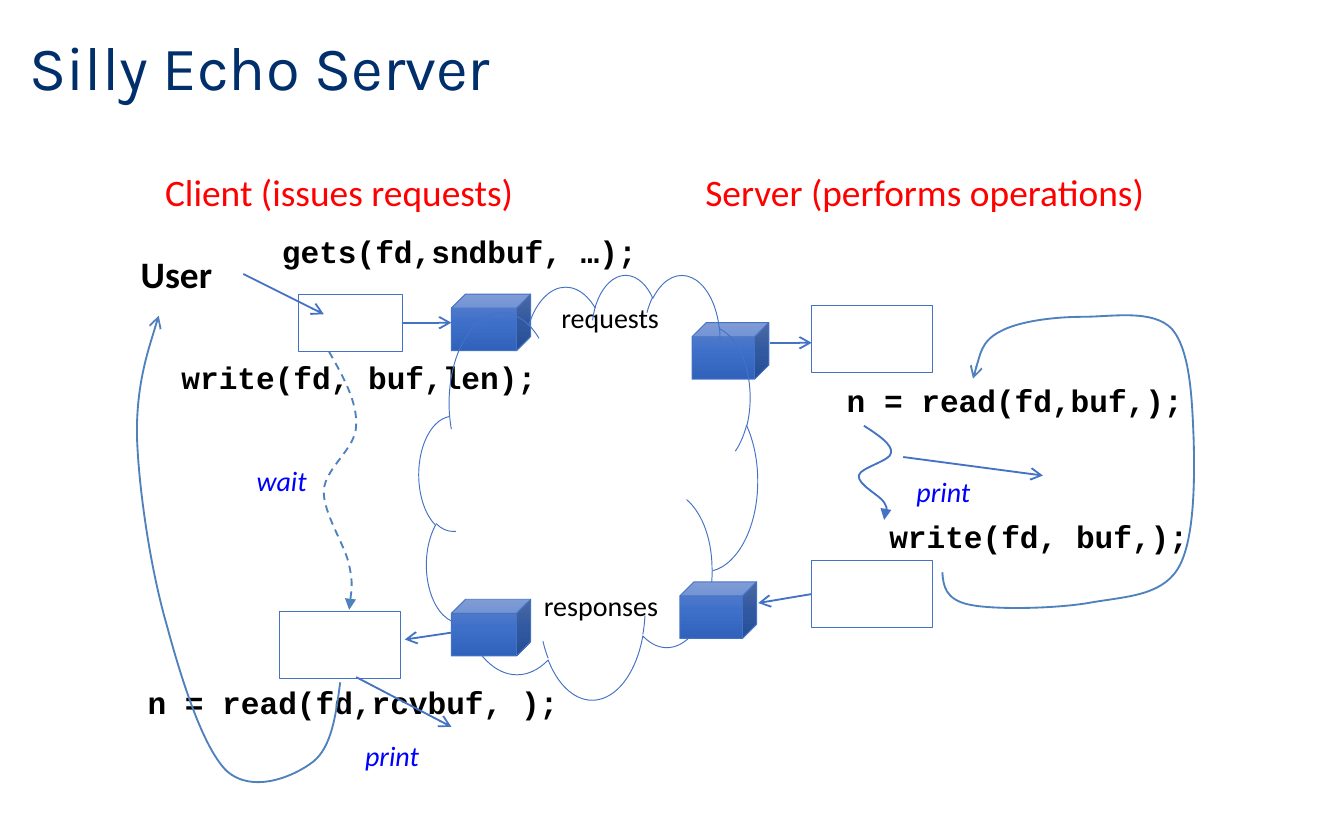
from lxml import etree
from pptx import Presentation
from pptx.dml.color import RGBColor
from pptx.enum.dml import MSO_LINE
from pptx.enum.shapes import MSO_CONNECTOR, MSO_SHAPE
from pptx.enum.text import MSO_ANCHOR, MSO_AUTO_SIZE, PP_ALIGN
from pptx.oxml.ns import qn
from pptx.util import Cm, Pt

RECT, CUBE, CLOUD = MSO_SHAPE.RECTANGLE, MSO_SHAPE.CUBE, MSO_SHAPE.CLOUD
STRAIGHT, DASH = MSO_CONNECTOR.STRAIGHT, MSO_LINE.DASH
LEFT, RIGHT = PP_ALIGN.LEFT, PP_ALIGN.RIGHT
MIDDLE = MSO_ANCHOR.MIDDLE
NO_FIT, GROW = MSO_AUTO_SIZE.NONE, MSO_AUTO_SIZE.SHAPE_TO_FIT_TEXT

NAVY = RGBColor(0x00, 0x2F, 0x6C)
BLACK = RGBColor(0x00, 0x00, 0x00)
RED = RGBColor(0xFF, 0x00, 0x00)
BLUE = RGBColor(0x00, 0x00, 0xFF)
LINE_BLUE = RGBColor(0x44, 0x72, 0xC4)
CURVE_BLUE = RGBColor(0x4F, 0x81, 0xBD)
CUBE_STOPS = [
    (0, RGBColor(0x61, 0x83, 0xCB)),
    (0.5, RGBColor(0x3E, 0x70, 0xCA)),
    (1, RGBColor(0x30, 0x62, 0xBB)),
]

CODE = dict(name="Courier New", size=Pt(16.7), bold=True)
HEADING = dict(name="Calibri", size=Pt(20))
USER = dict(name="Calibri", size=Pt(20), bold=True)
LABEL = dict(name="Calibri", size=Pt(15))
NOTE = dict(name="Calibri", size=Pt(15), italic=True)


def style_line(s, colour, width, arrow=None, dash=None):
    """Set the line, its arrowhead and an empty effect list."""
    s.line.color.rgb = colour
    s.line.width = Pt(width)
    if dash:
        s.line.dash_style = dash
    sp_pr = s._element.spPr
    if arrow:
        etree.SubElement(sp_pr.find(qn("a:ln")), qn("a:tailEnd"), type=arrow)
    etree.SubElement(sp_pr, qn("a:effectLst"))


def add_outline(kind, x, y, w, h):
    """Add an unfilled preset shape, measured in centimetres."""
    sp = shapes.add_shape(kind, Cm(x), Cm(y), Cm(w), Cm(h))
    sp.fill.background()
    style_line(sp, LINE_BLUE, 0.5)
    return sp


prs = Presentation()
prs.slide_width, prs.slide_height = Cm(25.4), Cm(15.88)
s = prs.slides.add_slide(prs.slide_layouts[5])
shapes = s.shapes

# Title
title = shapes.title
title.left, title.top, title.width, title.height = Cm(0.3), Cm(0.25), Cm(21.64), Cm(2.18)
tf = title.text_frame
tf.text = "Silly Echo Server"
tf.vertical_anchor, tf.auto_size = MIDDLE, NO_FIT
p = tf.paragraphs[0]
p.alignment, p.line_spacing = LEFT, 0.9
p.font.name, p.font.size, p.font.color.rgb = "Karla", Pt(33), NAVY

# Headings, calls and labels: text, left, top, width, height, font, colour, alignment
texts = [
    ("Client (issues requests)", 2.87, 3.07, 7.16, 1.12, HEADING, RED, LEFT),
    ("Server (performs operations)", 13.08, 3.07, 8.89, 1.12, HEADING, RED, LEFT),
    ("User", 2.41, 4.62, 2.21, 1.12, USER, BLACK, LEFT),
    ("gets(fd,sndbuf, …);", 5.08, 4.27, 7.59, 0.97, CODE, BLACK, LEFT),
    ("write(fd, buf,len);", 3.18, 6.65, 10.39, 0.97, CODE, BLACK, LEFT),
    ("n = read(fd,rcvbuf, );", 2.54, 12.8, 11.58, 0.97, CODE, BLACK, LEFT),
    ("n = read(fd,buf,); ", 12.67, 7.09, 10.29, 0.97, CODE, BLACK, RIGHT),
    ("write(fd, buf,); ", 12.67, 9.65, 10.39, 0.97, CODE, BLACK, RIGHT),
    ("requests", 10.36, 5.56, 2.39, 0.89, LABEL, BLACK, LEFT),
    ("responses", 10.03, 11, 2.69, 0.89, LABEL, BLACK, LEFT),
    ("wait", 4.6, 8.64, 1.47, 0.89, NOTE, BLUE, LEFT),
    ("print", 17.07, 8.84, 1.55, 0.89, NOTE, BLUE, LEFT),
    ("print", 6.65, 13.84, 1.55, 0.89, NOTE, BLUE, LEFT),
]
for text, x, y, w, h, font, colour, align in texts:
    tf = shapes.add_textbox(Cm(x), Cm(y), Cm(w), Cm(h)).text_frame
    tf.word_wrap = font in (CODE, USER)
    tf.auto_size = GROW
    p = tf.paragraphs[0]
    p.alignment = align
    r = p.add_run()
    r.text = text
    for key, value in font.items():
        setattr(r.font, key, value)
    r.font.color.rgb = colour

# Buffers of client and server
for x, y, w, h in [(5.64, 5.56, 1.96, 1.09), (15.34, 5.77, 2.29, 1.27),
                   (5.28, 11.56, 2.29, 1.27), (15.34, 10.59, 2.29, 1.27)]:
    add_outline(RECT, x, y, w, h)

# Straight arrows
for x1, y1, x2, y2 in [
    (4.6, 5.18, 6.12, 5.94),
    (7.59, 6.1, 8.53, 6.1),
    (14.55, 6.48, 15.34, 6.48),
    (15.34, 11.23, 14.33, 11.4),
    (8.53, 11.96, 7.65, 12.09),
    (17.07, 8.64, 19.71, 8.99),
    (6.73, 12.8, 8.53, 13.74),
]:
    arrow = shapes.add_connector(STRAIGHT, Cm(x1), Cm(y1), Cm(x2), Cm(y2))
    style_line(arrow, LINE_BLUE, 1, "arrow")

# Network cloud between the sockets
for x, y, w in [(8.53, 5.56, 1.5), (13.08, 6.1, 1.45), None or (7.92, 5.18, 6.4),
                (12.85, 11, 1.45), (8.53, 11.33, 1.5)]:
    if w > 2:
        add_outline(CLOUD, x, y, w, 8.03)
        continue
    cube = add_outline(CUBE, x, y, w, 1.07)
    cube.fill.gradient()
    cube.fill.gradient_angle = 270
    stop_list = cube._element.spPr.find(".//" + qn("a:gsLst"))
    etree.SubElement(stop_list, qn("a:gs"), pos="100000")
    for stop, (position, colour) in zip(cube.fill.gradient_stops, CUBE_STOPS):
        stop.position = position
        stop.color.rgb = colour

# Curved arrows: a start point, then three points for each Bezier segment
curves = [
    # Server works on a request
    (LINE_BLUE, "triangle", None, [
        (16.33, 8.05),
        (16.61, 8.23), (16.87, 8.41), (16.84, 8.56),
        (16.84, 8.71), (16.26, 8.84), (16.23, 8.99),
        (16.21, 9.17), (16.64, 9.37), (16.71, 9.5),
        (16.79, 9.65), (16.71, 9.83), (16.71, 9.83)]),
    # Client waits
    (CURVE_BLUE, "triangle", DASH, [
        (6.22, 6.65),
        (6.5, 7.14), (6.76, 7.62), (6.73, 8.05),
        (6.73, 8.48), (6.15, 8.84), (6.12, 9.27),
        (6.1, 9.7), (6.53, 10.31), (6.6, 10.69),
        (6.68, 11.05), (6.6, 11.53), (6.6, 11.53)]),
    # Client loop
    (CURVE_BLUE, "arrow", None, [
        (6.43, 12.9),
        (6.35, 13.51), (6.27, 14.12), (5.92, 14.4),
        (5.56, 14.68), (4.78, 15.01), (4.29, 14.58),
        (3.84, 14.15), (3.43, 12.85), (3.15, 11.81),
        (2.84, 10.74), (2.62, 9.22), (2.59, 8.26),
        (2.57, 7.26), (3, 5.97), (3, 5.97)]),
    # Server loop
    (CURVE_BLUE, "arrow", None, [
        (17.81, 10.82),
        (17.83, 11.07), (17.86, 11.33), (18.31, 11.43),
        (18.77, 11.53), (19.91, 11.51), (20.57, 11.4),
        (21.23, 11.28), (21.92, 11.28), (22.25, 10.77),
        (22.58, 10.26), (22.58, 9.07), (22.56, 8.31),
        (22.53, 7.57), (22.5, 6.63), (22.15, 6.22),
        (21.79, 5.84), (21.01, 5.99), (20.47, 5.99),
        (19.94, 5.99), (19.25, 6.07), (18.9, 6.27),
        (18.54, 6.45), (18.39, 7.16), (18.39, 7.16)]),
]
for colour, head, dash, points in curves:
    start, *rest = [(Cm(x), Cm(y)) for x, y in points]
    builder = shapes.build_freeform(*start)
    builder.add_line_segments(rest, close=False)
    curve = builder.convert_to_shape()
    curve.fill.background()
    style_line(curve, colour, 1, head, dash)
    # Join every three line segments into one cubic segment
    outline = curve._element.spPr.find(".//" + qn("a:path"))
    segments = outline.findall(qn("a:lnTo"))
    for i in range(0, len(segments), 3):
        cubic = etree.SubElement(outline, qn("a:cubicBezTo"))
        for segment in segments[i:i + 3]:
            cubic.append(segment[0])
            outline.remove(segment)

prs.save("out.pptx")
